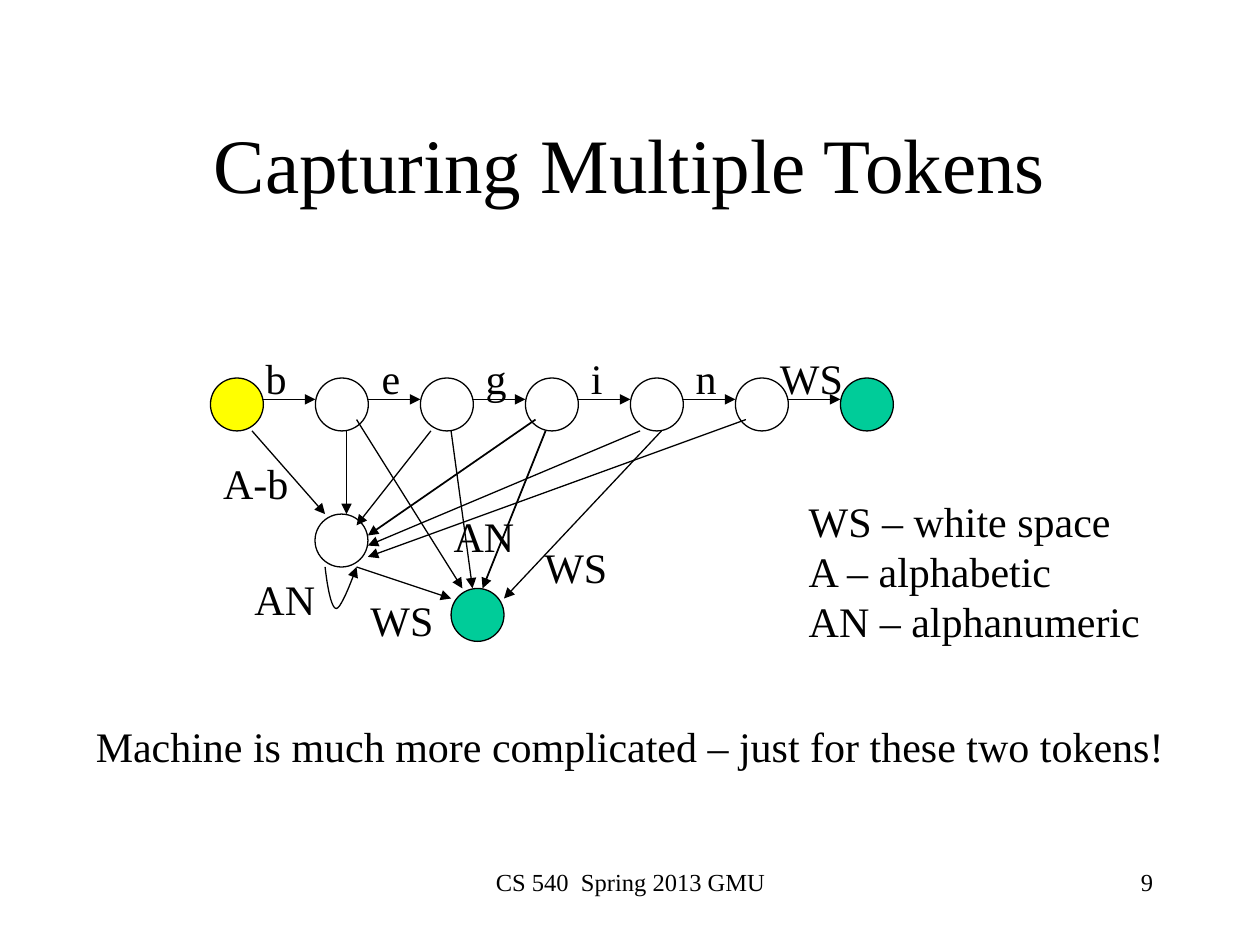
"""Build the slide on a state machine that captures multiple tokens."""
from lxml import etree
from pptx import Presentation
from pptx.dml.color import RGBColor
from pptx.enum.shapes import MSO_CONNECTOR, MSO_SHAPE
from pptx.enum.text import MSO_ANCHOR, PP_ALIGN
from pptx.oxml.ns import qn
from pptx.util import Inches, Pt

LEFT, CENTER, RIGHT = PP_ALIGN.LEFT, PP_ALIGN.CENTER, PP_ALIGN.RIGHT
MIDDLE = MSO_ANCHOR.MIDDLE
OVAL = MSO_SHAPE.OVAL
STRAIGHT = MSO_CONNECTOR.STRAIGHT
COLORS = {"ink": "000000", "start": "FFFF00", "accept": "00CC99"}
FONT = "Times New Roman"
NODE = 0.42
ROW_X, ROW_Y, STEP = 1.67, 3, 5 / 6
LETTERS = ["b", "e", "g", "i", "n", "WS"]
LABELS = [
    ("A-b", 1.67, 3.58, 0.72),
    ("AN", 1.92, 4.5, 0.68),
    ("WS", 2.84, 4.67, 0.7),
    ("AN", 3.5, 4, 0.68),
    ("WS", 4.22, 4.25, 0.7),
]
EDGES = [
    (2, 3.42, 2.58, 4.08, 0.75),
    (2.75, 3.42, 2.75, 4.08, 0.75),
    (3.42, 3.42, 2.83, 4.17, 0.75),
    (4.25, 3.33, 2.92, 4.25, 1),
    (5.08, 3.42, 2.92, 4.33, 0.75),
    (5.92, 3.33, 2.92, 4.42, 0.75),
    (2.83, 4.5, 3.58, 4.75, 0.75),
    (2.83, 3.33, 3.67, 4.67, 0.75),
    (3.58, 3.42, 3.75, 4.67, 0.75),
    (4.33, 3.42, 3.83, 4.67, 1),
    (5.25, 3.42, 4, 4.75, 0.75),
]
LOOP = [
    [(2.58, 4.5), (2.6, 4.67), (2.63, 4.83), (2.67, 4.83)],
    [(2.67, 4.83), (2.71, 4.83), (2.81, 4.56), (2.83, 4.5)],
]
LEGEND = "WS – white space\nA – alphabetic\nAN – alphanumeric"


def color(name):
    return RGBColor.from_string(COLORS[name])


def set_text(tf, text, size, align):
    tf.text = text
    for p in tf.paragraphs:
        p.alignment = align
        for key, value in {"name": FONT, "size": Pt(size)}.items():
            setattr(p.font, key, value)
        p.font.color.rgb = color("ink")


def add_text(s, text, x, y, w, h=0.5, size=24, align=CENTER, wrap=False):
    sp = s.shapes.add_textbox(Inches(x), Inches(y), Inches(w), Inches(h))
    sp.text_frame.word_wrap = wrap
    set_text(sp.text_frame, text, size, align)


def add_title(s, text):
    sp = s.shapes.title
    box = {"left": 0.75, "top": 0.67, "width": 8.5, "height": 1.25}
    for key, value in box.items():
        setattr(sp, key, Inches(value))
    sp.text_frame.vertical_anchor = MIDDLE
    set_text(sp.text_frame, text, 44, CENTER)


def set_line(sp, width=0.75):
    sp.line.color.rgb = color("ink")
    sp.line.width = Pt(width)


def add_arrowhead(sp):
    ln = sp.line._get_or_add_ln()
    etree.SubElement(ln, qn("a:tailEnd"), type="triangle")


def add_state(s, x, y, fill=None):
    sp = s.shapes.add_shape(OVAL, Inches(x), Inches(y), Inches(NODE), Inches(NODE))
    sp.shadow.inherit = False
    if fill:
        sp.fill.solid()
        sp.fill.fore_color.rgb = color(fill)
    else:
        sp.fill.background()
    set_line(sp)


def add_arrow(s, x1, y1, x2, y2, width=0.75):
    sp = s.shapes.add_connector(STRAIGHT, *map(Inches, (x1, y1, x2, y2)))
    set_line(sp, width)
    add_arrowhead(sp)
    etree.SubElement(sp._element.spPr, qn("a:effectLst"))


def curve_points(curve, steps=12):
    for i in range(1, steps + 1):
        t = i / steps
        weights = ((1 - t) ** 3, 3 * t * (1 - t) ** 2, 3 * t * t * (1 - t), t ** 3)
        yield tuple(
            Inches(sum(w * pt[axis] for w, pt in zip(weights, curve)))
            for axis in (0, 1)
        )


def add_loop(s, curves):
    x, y = curves[0][0]
    fb = s.shapes.build_freeform(Inches(x), Inches(y))
    for curve in curves:
        fb.add_line_segments(list(curve_points(curve)), close=False)
    sp = fb.convert_to_shape()
    sp.shadow.inherit = False
    sp.fill.background()
    set_line(sp)
    add_arrowhead(sp)


def add_keyword_row(s):
    fills = ["start"] + [None] * (len(LETTERS) - 1) + ["accept"]
    for i, fill in enumerate(fills):
        add_state(s, ROW_X + i * STEP, ROW_Y, fill)
    for i, letter in enumerate(LETTERS):
        x = ROW_X + NODE + i * STEP
        add_arrow(s, x, 3.17, x + STEP - NODE, 3.17)
        if letter == "WS":
            add_text(s, letter, 6.09, 2.75, 0.7)
        else:
            add_text(s, letter, x - 0.08 if i == 0 else x, 2.75,
                     0.29 if letter == "i" else 0.36)


def main():
    prs = Presentation()
    prs.slide_width, prs.slide_height = Inches(10), Inches(7.5)
    s = prs.slides.add_slide(prs.slide_layouts[5])
    add_title(s, "Capturing Multiple Tokens")
    add_keyword_row(s)
    add_state(s, 3.58, 4.67, "accept")
    add_state(s, 2.5, 4.08)
    add_loop(s, LOOP)
    for edge in EDGES:
        add_arrow(s, *edge)
    for label in LABELS:
        add_text(s, *label)
    add_text(s, LEGEND, 6.32, 3.88, 2.83, 1.7, align=LEFT)
    add_text(s, "Machine is much more complicated – just for these two tokens!",
             0.66, 5.67, 8.68)
    add_text(s, "CS 540  Spring 2013 GMU", 3.42, 6.83, 3.17, size=14, wrap=True)
    add_text(s, "9", 7.17, 6.83, 2.08, size=14, align=RIGHT, wrap=True)
    prs.save("out.pptx")


if __name__ == "__main__":
    main()
